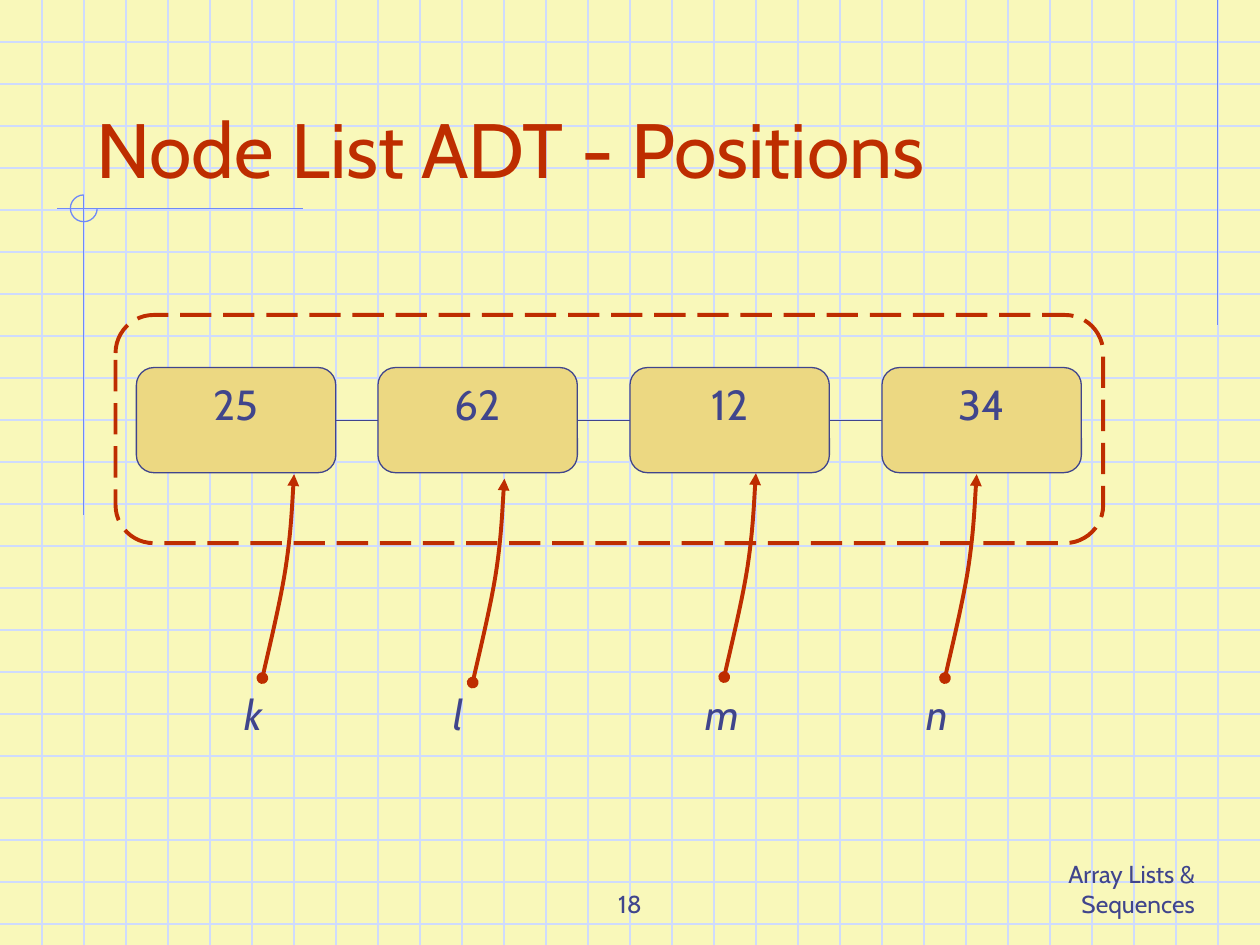
import pptx
import pptx.dml.color
import pptx.enum.dml
import pptx.enum.shapes
import pptx.enum.text
import pptx.oxml
import pptx.oxml.ns
import pptx.util
from pptx.util import Cm

SHAPE = pptx.enum.shapes.MSO_SHAPE
ALIGN = pptx.enum.text.PP_ALIGN
ANCHOR = pptx.enum.text.MSO_ANCHOR
qn = pptx.oxml.ns.qn

# Content; all lengths are in centimetres
TITLE = "Node List ADT - Positions"
FOOTER = "Array Lists & Sequences"
PAGE = "18"
NODES = [  # value, left edge
    ("25", 2.75), ("62", 7.62), ("12", 12.7), ("34", 17.78),
]
POSITIONS = [  # name, label left, label width, arrow start
    ("k", 4.67, 0.91, (5.29, 13.67)),
    ("l", 8.89, 0.71, (9.53, 13.76)),
    ("m", 13.97, 1.24, (14.6, 13.65)),
    ("n", 18.42, 0.99, (19.05, 13.67)),
]
# Two Bezier segments, as offsets from the start of an arrow
ARROW_CURVE = [
    (0.08, -0.38), (0.38, -1.6), (0.48, -2.29),
    (0.58, -2.97), (0.61, -3.73), (0.64, -4.11),
]
ACCENT_LINES = [
    ((24.55, 0), (24.55, 6.55)),
    ((6.1, 4.2), (1.14, 4.2)),
    ((1.69, 3.93), (1.69, 10.39)),
]

SLIDE_WIDTH, SLIDE_HEIGHT = 25.4, 19.05
GRID_COLUMNS = 30
NODE_TOP, NODE_WIDTH, NODE_HEIGHT = 7.41, 4.02, 2.12
LABEL_TOP, LABEL_HEIGHT = 13.76, 1.27

THEME = {
    "font": "Cabin",
    "background": "F9F8BA", "grid": "CFDBFD", "accent": "6F89F7",
    "ink": "40458C", "red": "BE2D00", "node": "ECD882",
    "title_size": 44, "body_size": 24, "footer_size": 14,
    "thin": 0.75, "thick": 2.25, "corner": 0.167,
}


def color(name):
    return pptx.dml.color.RGBColor.from_string(THEME[name])


def format_line(line, color_name, width="thin"):
    line.color.rgb = color(color_name)
    line.width = pptx.util.Pt(THEME[width])


def write_text(shape, text, size="body_size", color_name="ink", align=ALIGN.LEFT,
               anchor=ANCHOR.TOP, wrap=True, italic=False):
    frame = shape.text_frame
    frame.word_wrap = wrap
    frame.vertical_anchor = anchor
    paragraph = frame.paragraphs[0]
    paragraph.text = text
    paragraph.alignment = align
    font = paragraph.runs[0].font
    font.name = THEME["font"]
    font.size = pptx.util.Pt(THEME[size])
    font.color.rgb = color(color_name)
    font.italic = italic


def add_text(slide, box, text, **text_format):
    write_text(slide.shapes.add_textbox(*map(Cm, box)), text, **text_format)


def add_line(slide, start, end, color_name):
    connector = slide.shapes.add_connector(
        pptx.enum.shapes.MSO_CONNECTOR.STRAIGHT, *map(Cm, (*start, *end)))
    format_line(connector.line, color_name)
    pptx.oxml.ns  # namespace helpers used below
    connector._element.spPr.append(
        connector._element.spPr.makeelement(qn("a:effectLst"), {}))
    return connector


def add_shape(slide, kind, box, line_color, width="thin", fill=None):
    shape = slide.shapes.add_shape(kind, *map(Cm, box))
    shape.shadow.inherit = False
    format_line(shape.line, line_color, width)
    if fill:
        shape.fill.solid()
        shape.fill.fore_color.rgb = color(fill)
    else:
        shape.fill.background()
    return shape


def add_curved_arrow(slide, start):
    x, y = start
    builder = slide.shapes.build_freeform(Cm(x), Cm(y))
    builder.add_line_segments(
        [(Cm(x + dx), Cm(y + dy)) for dx, dy in ARROW_CURVE], close=False)
    arrow = builder.convert_to_shape()
    arrow.shadow.inherit = False
    arrow.fill.background()
    format_line(arrow.line, "red", "thick")

    # Every three straight segments become one Bezier curve
    segments = arrow._element.findall(".//" + qn("a:lnTo"))
    outline = segments[0].getparent()
    for first in range(0, len(segments), 3):
        curve = outline.makeelement(qn("a:cubicBezTo"), {})
        for segment in segments[first:first + 3]:
            curve.append(segment[0])
            outline.remove(segment)
        outline.append(curve)

    # Dot at the start, arrowhead at the end
    line = arrow._element.spPr.find(qn("a:ln"))
    for tag, kind in (("a:headEnd", "oval"), ("a:tailEnd", "triangle")):
        line.append(line.makeelement(qn(tag), {"type": kind}))


def draw_backdrop(slide):
    slide.background.fill.solid()
    slide.background.fill.fore_color.rgb = color("background")
    step = SLIDE_WIDTH / GRID_COLUMNS
    for row in range(1, int(SLIDE_HEIGHT / step) + 1):
        add_line(slide, (0, row * step), (SLIDE_WIDTH, row * step), "grid")
    for column in range(1, GRID_COLUMNS):
        add_line(slide, (column * step, 0), (column * step, SLIDE_HEIGHT), "grid")
    for start, end in ACCENT_LINES:
        add_line(slide, start, end, "accent")
    arc = add_shape(slide, SHAPE.ARC, (1.42, 3.93, 0.54, 0.54), "accent")
    arc.adjustments[0] = 0
    arc.adjustments[1] = 162  # 270 degrees


def draw_title(slide):
    title = slide.shapes.title
    title.left, title.top, title.width, title.height = map(Cm, (1.69, 0.85, 21.59, 3.18))
    write_text(title, TITLE, size="title_size", color_name="red", anchor=ANCHOR.BOTTOM)
    title._element.getparent().append(title._element)  # in front of the grid


def draw_list(slide):
    frame = add_shape(slide, SHAPE.ROUNDED_RECTANGLE, (2.33, 6.35, 19.91, 4.6), "red", "thick")
    frame.adjustments[0] = THEME["corner"]
    frame.line.dash_style = pptx.enum.dml.MSO_LINE.LONG_DASH

    # Positions: arrows and their names
    for name, left, width, start in POSITIONS:
        add_curved_arrow(slide, start)
        add_text(slide, (left, LABEL_TOP, width, LABEL_HEIGHT), name, wrap=False, italic=True)

    # Nodes, each linked to the one before
    previous = None
    middle = NODE_TOP + NODE_HEIGHT / 2
    for value, left in NODES:
        node = add_shape(slide, SHAPE.ROUNDED_RECTANGLE,
                         (left, NODE_TOP, NODE_WIDTH, NODE_HEIGHT), "ink", fill="node")
        node.adjustments[0] = THEME["corner"]
        write_text(node, value, align=ALIGN.CENTER, wrap=False)
        if previous:
            link = add_line(slide, (left, middle), (left, middle), "ink")
            link.begin_connect(previous, 3)
            link.end_connect(node, 1)
        previous = node


def main():
    presentation = pptx.Presentation()
    presentation.slide_width = Cm(SLIDE_WIDTH)
    presentation.slide_height = Cm(SLIDE_HEIGHT)
    slide = presentation.slides.add_slide(presentation.slide_layouts[5])
    draw_backdrop(slide)
    add_text(slide, (19.05, 17.36, 5.29, 1.27), FOOTER, size="footer_size",
             align=ALIGN.RIGHT, anchor=ANCHOR.BOTTOM)
    add_text(slide, (8.68, 17.36, 8.04, 1.27), PAGE, size="footer_size",
             align=ALIGN.CENTER, anchor=ANCHOR.BOTTOM)
    draw_title(slide)
    draw_list(slide)
    presentation.save("out.pptx")


if __name__ == "__main__":
    main()
